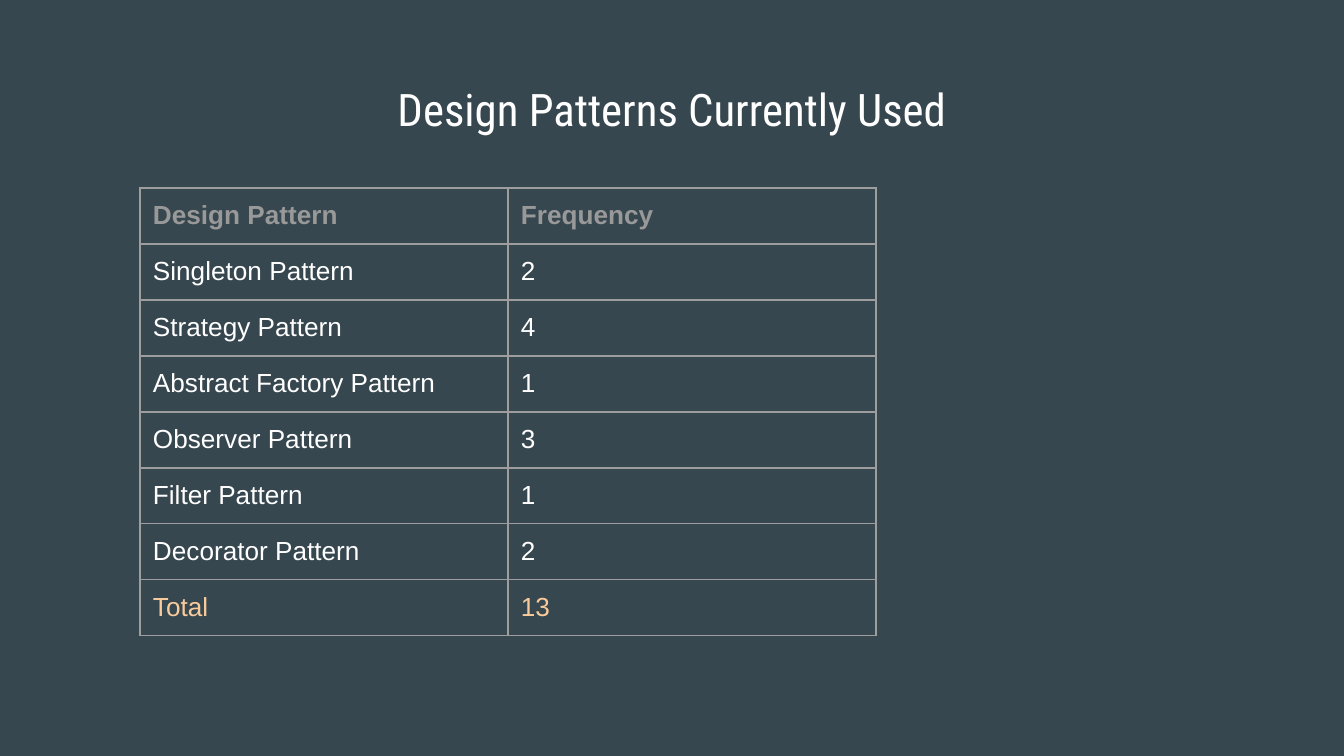
from lxml import etree
from pptx import Presentation
from pptx import util as u
from pptx.dml.color import RGBColor
from pptx.enum import text
from pptx.oxml import ns

TITLE = "Design Patterns Currently Used"
ROWS = [
    ("Design Pattern", "Frequency"),
    ("Singleton Pattern", "2"),
    ("Strategy Pattern", "4"),
    ("Abstract Factory Pattern", "1"),
    ("Observer Pattern", "3"),
    ("Filter Pattern", "1"),
    ("Decorator Pattern", "2"),
    ("Total", "13"),
]
COLORS = {
    "background": "37474F",
    "header": "999999",
    "body": "FFFFFF",
    "total": "F9CB9C",
    "border": "9E9E9E",
}
SLIDE_WIDTH, SLIDE_HEIGHT = 1344, 756
TITLE_BOX = (46, 66, 1252, 85)
TABLE_LEFT, TABLE_TOP = 140, 188
COLUMN_WIDTH, ROW_HEIGHT = 368, 56
INSET = 13
SCALE = u.Inches(10) / SLIDE_WIDTH


def px(length):
    return u.Emu(round(length * SCALE))


def color(name):
    return RGBColor.from_string(COLORS[name])


def set_insets(target):
    target.margin_left = target.margin_right = px(INSET)
    target.margin_top = target.margin_bottom = px(INSET)


def format_runs(paragraph, font_name, size, color_name, bold=False):
    for run in paragraph.runs:
        run.font.name = font_name
        run.font.size = u.Pt(size)
        run.font.bold = bold
        run.font.color.rgb = color(color_name)


def add_borders(cell):
    properties = cell._tc.get_or_add_tcPr()
    for side in ("a:lnL", "a:lnR", "a:lnT", "a:lnB"):
        line = etree.SubElement(properties, ns.qn(side), w=str(u.Pt(0.75)))
        fill = etree.SubElement(line, ns.qn("a:solidFill"))
        etree.SubElement(fill, ns.qn("a:srgbClr"), val=COLORS["border"])


def add_title(slide):
    title = slide.shapes.title
    title.left, title.top, title.width, title.height = map(px, TITLE_BOX)
    frame = title.text_frame
    frame.text = TITLE
    frame.word_wrap = True
    frame.auto_size = text.MSO_AUTO_SIZE.NONE
    frame.vertical_anchor = text.MSO_ANCHOR.MIDDLE
    set_insets(frame)
    paragraph = frame.paragraphs[0]
    paragraph.alignment = text.PP_ALIGN.CENTER
    format_runs(paragraph, "Roboto Condensed", 24, "body")


def add_pattern_table(slide):
    column_count = len(ROWS[0])
    table = slide.shapes.add_table(
        len(ROWS), column_count, px(TABLE_LEFT), px(TABLE_TOP),
        px(COLUMN_WIDTH * column_count), px(ROW_HEIGHT * len(ROWS)),
    ).table
    table.first_row = table.horz_banding = False
    for column in table.columns:
        column.width = px(COLUMN_WIDTH)
    row_colors = ["header"] + ["body"] * (len(ROWS) - 2) + ["total"]
    for row, values, color_name in zip(table.rows, ROWS, row_colors):
        row.height = px(ROW_HEIGHT)
        for cell, value in zip(row.cells, values):
            cell.text_frame.text = value
            set_insets(cell)
            add_borders(cell)
            cell.fill.background()
            format_runs(cell.text_frame.paragraphs[0], "Arial", 14,
                        color_name, color_name == "header")


def main():
    presentation = Presentation()
    presentation.slide_width = px(SLIDE_WIDTH)
    presentation.slide_height = px(SLIDE_HEIGHT)
    slide = presentation.slides.add_slide(presentation.slide_layouts[5])
    slide.background.fill.solid()
    slide.background.fill.fore_color.rgb = color("background")
    add_pattern_table(slide)
    add_title(slide)
    presentation.save("out.pptx")


if __name__ == "__main__":
    main()
